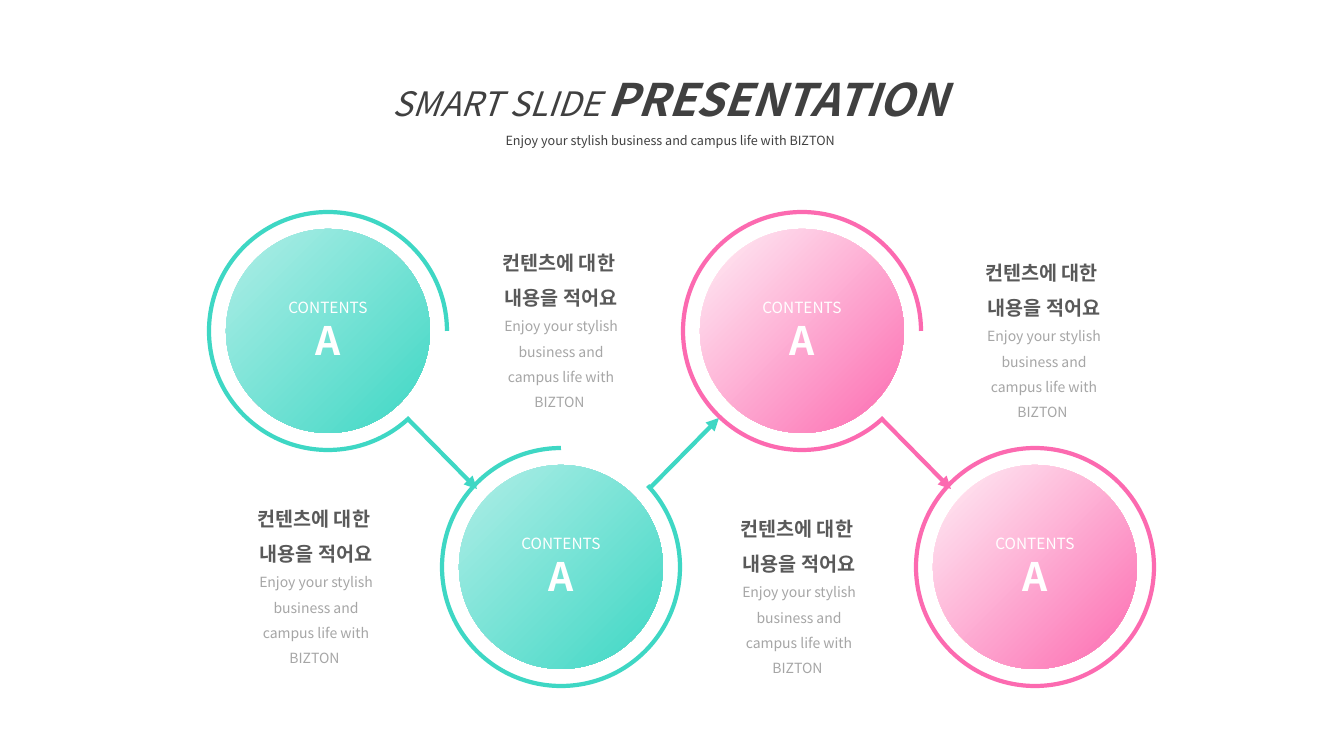
import lxml.etree
import pptx
import pptx.dml.color
import pptx.enum.shapes
import pptx.enum.text
import pptx.oxml.ns
import pptx.util

RGBColor = pptx.dml.color.RGBColor
SHAPE = pptx.enum.shapes.MSO_SHAPE
AUTO_SIZE = pptx.enum.text.MSO_AUTO_SIZE
qn = pptx.oxml.ns.qn

TEAL = RGBColor(0x3E, 0xD7, 0xC4)
PALE_TEAL = RGBColor(0xB0, 0xEE, 0xE7)
PINK = RGBColor(0xFC, 0x6A, 0xB0)
PALE_PINK = RGBColor(0xFF, 0xEF, 0xF6)
WHITE = RGBColor(0xFF, 0xFF, 0xFF)
TITLE_GREY = RGBColor(0x40, 0x40, 0x40)
HEADING_GREY = RGBColor(0x59, 0x59, 0x59)
BODY_GREY = RGBColor(0xA6, 0xA6, 0xA6)

TAGLINE = "Enjoy your stylish business and campus life with BIZTON"
RING, DISC = 238, 204


class ProcessSlide:
    """Draws the elements of a circular process slide in one style."""

    font_name = "Noto Sans CJK KR"
    line_width = pptx.util.Pt(3)
    scale = 914400 / 100.8

    def __init__(self, presentation):
        presentation.slide_width = self.px(1344)
        presentation.slide_height = self.px(756)
        self.slide = presentation.slides.add_slide(presentation.slide_layouts[5])
        self.shapes = self.slide.shapes

    def px(self, length):
        return pptx.util.Emu(round(length * self.scale))

    def style(self, font, size, color, bold=False, italic=False):
        font.size = pptx.util.Pt(size)
        font.name = self.font_name
        font.color.rgb = color
        font.bold = bold
        font.italic = italic
        east_asian = lxml.etree.Element(qn("a:ea"), typeface=self.font_name)
        font._element.find(qn("a:latin")).addnext(east_asian)

    def title(self, left, top, width, height, lead, emphasis, subtitle):
        title = self.shapes.title
        title.left, title.top = self.px(left), self.px(top)
        title.width, title.height = self.px(width), self.px(height)
        frame = title.text_frame
        frame.word_wrap = True
        frame.auto_size = AUTO_SIZE.SHAPE_TO_FIT_TEXT
        frame.vertical_anchor = pptx.enum.text.MSO_ANCHOR.TOP
        headline, tagline = frame.paragraphs[0], frame.add_paragraph()
        for text, size, bold in ((lead, 24, False), (emphasis, 32, True)):
            run = headline.add_run()
            run.text = text
            self.style(run.font, size, TITLE_GREY, bold, True)
        tagline.text = subtitle
        self.style(tagline.font, 9, TITLE_GREY)
        for paragraph in frame.paragraphs:
            paragraph.alignment = pptx.enum.text.PP_ALIGN.CENTER
            paragraph.line_spacing = 1.5
            paragraph.space_before = pptx.util.Pt(0)

    def circle(self, preset, center_x, center_y, size):
        circle = self.shapes.add_shape(
            preset, self.px(center_x - size / 2), self.px(center_y - size / 2),
            self.px(size), self.px(size))
        circle.shadow.inherit = False
        return circle

    def ring(self, center_x, center_y, color, rotation, is_open):
        ring = self.circle(SHAPE.ARC if is_open else SHAPE.OVAL, center_x, center_y, RING)
        if is_open:
            ring.adjustments[0] = 28.06
            ring.adjustments[1] = 0
        ring.rotation = rotation
        ring.fill.background()
        ring.line.color.rgb = color
        ring.line.width = self.line_width

    def disc(self, center_x, center_y, pale, color):
        disc = self.circle(SHAPE.OVAL, center_x, center_y, DISC)
        disc.line.fill.background()
        disc.fill.gradient()
        disc.fill.gradient_angle = 315
        for stop, stop_color in zip(disc.fill.gradient_stops, (pale, color)):
            stop.color.rgb = stop_color

    def arrow(self, start_x, start_y, end_x, end_y, color):
        arrow = self.shapes.add_connector(
            pptx.enum.shapes.MSO_CONNECTOR.STRAIGHT,
            self.px(start_x), self.px(start_y), self.px(end_x), self.px(end_y))
        arrow.line.color.rgb = color
        arrow.line.width = self.line_width
        outline = arrow.line._get_or_add_ln()
        lxml.etree.SubElement(outline, qn("a:tailEnd"), type="triangle")
        lxml.etree.SubElement(arrow._element.spPr, qn("a:effectLst"))

    def text(self, left, top, width, height, lines, spacing=1.0):
        box = self.shapes.add_textbox(
            self.px(left), self.px(top), self.px(width), self.px(height))
        frame = box.text_frame
        frame.word_wrap = True
        frame.auto_size = AUTO_SIZE.SHAPE_TO_FIT_TEXT
        for index, (text, size, color, bold) in enumerate(lines):
            paragraph = frame.add_paragraph() if index else frame.paragraphs[0]
            paragraph.text = text
            paragraph.alignment = pptx.enum.text.PP_ALIGN.CENTER
            paragraph.line_spacing = spacing
            self.style(paragraph.font, size, color, bold)

    def label(self, center_x, center_y):
        self.text(center_x - 60, center_y - 38, 120, 77,
                  [("CONTENTS", 11, WHITE, False), ("A", 28, WHITE, True)])

    def caption(self, left, top):
        self.text(left, top, 158, 158,
                  [("컨텐츠에 대한 ", 14, HEADING_GREY, True),
                   ("내용을 적어요", 14, HEADING_GREY, True),
                   (TAGLINE + " ", 10, BODY_GREY, False)], spacing=1.5)


def main():
    presentation = pptx.Presentation()
    page = ProcessSlide(presentation)
    page.title(366, 40, 608, 115, "SMART SLIDE ", "PRESENTATION", TAGLINE)

    steps = [
        (328, 331, PALE_TEAL, TEAL, (482, 234)),
        (561, 567, PALE_TEAL, TEAL, (237, 490)),
        (802, 331, PALE_PINK, PINK, (965, 244)),
        (1035, 567, PALE_PINK, PINK, (720, 500)),
    ]
    last = len(steps) - 1
    for index, (x, y, pale, color, caption_corner) in enumerate(steps):
        is_lower = index % 2 == 1
        page.ring(x, y, color, 270 if is_lower else 0, index < last)
        page.disc(x, y, pale, color)
        if index < last:
            if is_lower:
                page.arrow(x + 88, y - 78, x + 158, y - 149, color)
            else:
                page.arrow(x + 79, y + 87, x + 149, y + 158, color)
        page.label(x, y)
        page.caption(*caption_corner)

    presentation.save("out.pptx")


if __name__ == "__main__":
    main()
